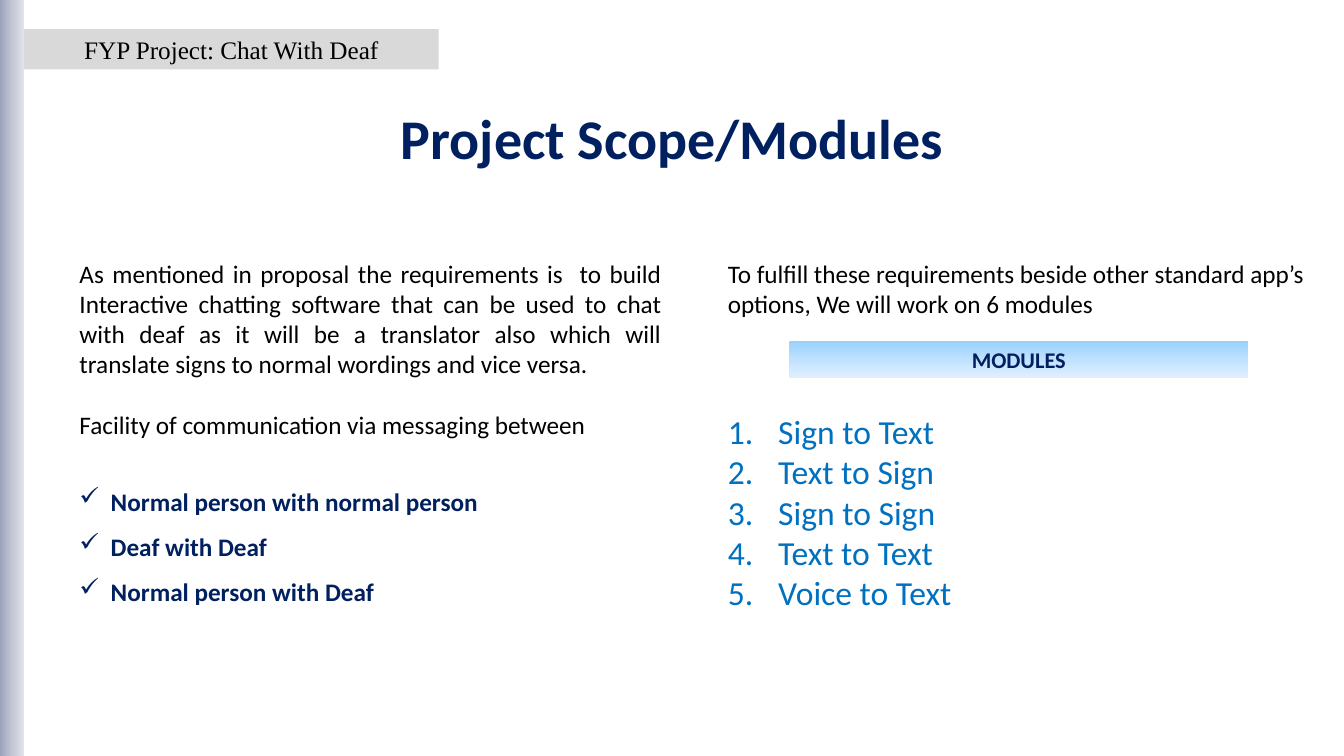
from copy import deepcopy

from lxml.etree import SubElement
from pptx import Presentation
from pptx.dml.color import RGBColor
from pptx.enum.shapes import MSO_SHAPE as SHAPE
from pptx.enum.text import MSO_ANCHOR as ANCHOR, PP_ALIGN as ALIGN
from pptx.oxml.ns import qn
from pptx.util import Inches, Pt

NAVY, BLUE, BLACK, GREY = "002060", "0070C0", "000000", "D9D9D9"
BODY_SIZE = 18
BLANK_LINE = 22


def color(value):
    return RGBColor.from_string(value)


def add_rectangle(slide, left, top, width, height):
    shape = slide.shapes.add_shape(
        SHAPE.RECTANGLE, Inches(left), Inches(top), Inches(width), Inches(height))
    shape.shadow.inherit = False
    shape.line.fill.background()
    return shape


def fill_gradient(shape, colors, angle):
    fill = shape.fill
    fill.gradient()
    fill.gradient_angle = angle
    stop_list = shape._element.spPr.find(qn("a:gradFill")).find(qn("a:gsLst"))
    stop_list.insert(1, deepcopy(stop_list[0]))
    for index, (stop, value) in enumerate(zip(fill.gradient_stops, colors)):
        stop.color.rgb = color(value)
        stop.position = index / (len(colors) - 1)


def add_text_frame(slide, left, top, width, height):
    box = slide.shapes.add_textbox(
        Inches(left), Inches(top), Inches(width), Inches(height))
    box.text_frame.word_wrap = True
    return box.text_frame


def write(paragraph, text, size=BODY_SIZE, value=BLACK, bold=False,
          name="Calibri", align=ALIGN.LEFT):
    paragraph.text = text
    paragraph.alignment = align
    font = paragraph.font
    font.name, font.size, font.bold = name, Pt(size), bold
    font.color.rgb = color(value)


def set_bullet(paragraph, indent, tag, **attributes):
    properties = paragraph._p.get_or_add_pPr()
    properties.set("marL", str(Inches(indent)))
    properties.set("indent", str(-Inches(indent)))
    SubElement(properties, qn(tag), attributes)


def add_side_band(slide, left, top, width, height):
    band = add_rectangle(slide, left, top, width, height)
    fill_gradient(band, ["9BA2BC", "C3C6D5", "E2E3EA"], 0)


def add_project_label(slide, left, top, width, height):
    label = add_rectangle(slide, left, top, width, height)
    label.fill.solid()
    label.fill.fore_color.rgb = color(GREY)
    write(label.text_frame.paragraphs[0], "FYP Project: Chat With Deaf",
          name="Times New Roman", align=ALIGN.CENTER)


def add_title(slide, left, top, width, height):
    frame = add_text_frame(slide, left, top, width, height)
    frame.vertical_anchor = ANCHOR.MIDDLE
    paragraph = frame.paragraphs[0]
    write(paragraph, "Project Scope/Modules", 40, NAVY, True, align=ALIGN.CENTER)
    paragraph.line_spacing = 0.9


def add_scope(slide, left, top, width, height):
    frame = add_text_frame(slide, left, top, width, height)
    write(frame.paragraphs[0],
          "As mentioned in proposal the requirements is  to build Interactive "
          "chatting software that can be used to chat with deaf as it will be a "
          "translator also which will translate signs to normal wordings and "
          "vice versa.", align=ALIGN.JUSTIFY)
    facility = frame.add_paragraph()
    write(facility, "Facility of communication via messaging between")
    facility.space_before = facility.space_after = Pt(BLANK_LINE)
    for pair in ("Normal person with normal person", "Deaf with Deaf",
                 "Normal person with Deaf"):
        paragraph = frame.add_paragraph()
        write(paragraph, pair, value=NAVY, bold=True)
        paragraph.line_spacing = 1.5
        set_bullet(paragraph, 0.31, "a:buChar", char="✓")


def add_modules(slide, left, top, width, height):
    frame = add_text_frame(slide, left, top, width, height)
    introduction = frame.paragraphs[0]
    write(introduction, "To fulfill these requirements beside other standard "
                        "app’s options, We will work on 6 modules")
    introduction.space_after = Pt(3 * BLANK_LINE)
    for module in ("Sign to Text", "Text to Sign", "Sign to Sign",
                   "Text to Text", "Voice to Text"):
        paragraph = frame.add_paragraph()
        write(paragraph, module, 24, BLUE)
        set_bullet(paragraph, 0.5, "a:buAutoNum", type="arabicPeriod")

    heading = add_rectangle(slide, left + 0.71, top + 0.87, 4.55, 0.37)
    fill_gradient(heading, ["96D0FF", "BFE1FF", "E0EFFF"], 270)
    write(heading.text_frame.paragraphs[0], "MODULES", 16, NAVY, True,
          align=ALIGN.CENTER)


def main():
    presentation = Presentation()
    presentation.slide_width = Inches(13.33)
    presentation.slide_height = Inches(7.5)
    slide = presentation.slides.add_slide(presentation.slide_layouts[6])
    add_scope(slide, 0.69, 2.51, 5.97, 3.54)
    add_side_band(slide, 0, 0, 0.24, 7.5)
    add_project_label(slide, 0.24, 0.29, 4.11, 0.4)
    add_title(slide, 3.42, 0.95, 6.49, 0.9)
    add_modules(slide, 7.12, 2.51, 5.97, 3.64)
    presentation.save("out.pptx")


if __name__ == "__main__":
    main()
